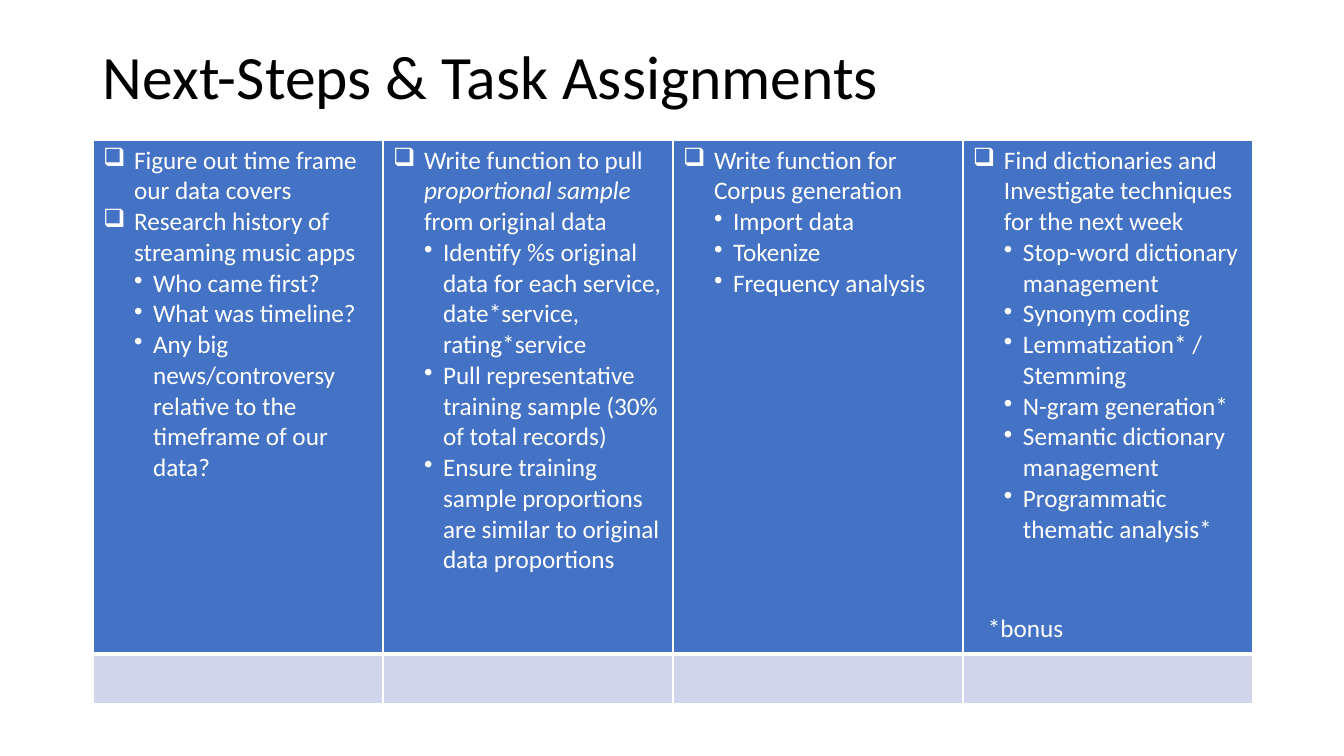
from dataclasses import dataclass

from lxml.etree import SubElement
from pptx import Presentation
from pptx.dml.color import RGBColor
from pptx.enum.text import MSO_ANCHOR
from pptx.oxml import parse_xml
from pptx.oxml.ns import nsdecls, qn
from pptx.util import Emu, Pt

SLIDE_WIDTH, SLIDE_HEIGHT = 1344, 756
EMU_PER_PIXEL = 12192000 / SLIDE_WIDTH
FONT = "Calibri"
BLACK, WHITE, BLUE, PALE_BLUE = "000000", "FFFFFF", "4472C4", "CFD5EA"
COLUMN_WIDTH = 290
ROW_HEIGHTS = [514, 50]


@dataclass(frozen=True)
class Level:
    bullet: str
    margin: int
    hanging: int


@dataclass(frozen=True)
class Task:
    text: str  # words between underscores are italic
    steps: tuple[str, ...] = ()


@dataclass(frozen=True)
class Label:
    text: str
    left: int
    top: int
    width: int
    height: int
    size: int
    color: str
    anchor: MSO_ANCHOR
    line_spacing: float


TASK_LEVEL = Level("❑", 31, 31)
STEP_LEVEL = Level("•", 50, 19)

ASSIGNMENTS = [
    [
        Task("Figure out time frame our data covers"),
        Task("Research history of streaming music apps ", (
            "Who came first?",
            "What was timeline?",
            "Any big news/controversy relative to the timeframe of our data?",
        )),
    ],
    [
        Task("Write function to pull _proportional sample_ from original data", (
            "Identify %s original data for each service, date*service, rating*service",
            "Pull representative training sample (30% of total records)",
            "Ensure training sample proportions are similar to original data proportions",
        )),
    ],
    [
        Task("Write function for Corpus generation", (
            "Import data", "Tokenize", "Frequency analysis",
        )),
    ],
    [
        Task("Find dictionaries and Investigate techniques for the next week", (
            "Stop-word dictionary management",
            "Synonym coding",
            "Lemmatization* / Stemming",
            "N-gram generation*",
            "Semantic dictionary management",
            "Programmatic thematic analysis*",
        )),
    ],
]

TITLE = Label("Next-Steps & Task Assignments", 93, 40, 1159, 79, 44, BLACK,
              MSO_ANCHOR.MIDDLE, 0.9)
BONUS_NOTE = Label("*bonus", 978, 607, 257, 40, 18, WHITE, MSO_ANCHOR.TOP, 1.0)


def px(pixels: int) -> Emu:
    return Emu(round(pixels * EMU_PER_PIXEL))


def rgb(color: str) -> RGBColor:
    return RGBColor.from_string(color)


def style_font(font, size: int, color: str) -> None:
    font.name = FONT
    font.size = Pt(size)
    font.color.rgb = rgb(color)


def draw_label(slide, label: Label) -> None:
    box = slide.shapes.add_textbox(
        px(label.left), px(label.top), px(label.width), px(label.height))
    frame = box.text_frame
    frame.word_wrap = True
    frame.vertical_anchor = label.anchor
    frame.text = label.text
    paragraph = frame.paragraphs[0]
    paragraph.line_spacing = label.line_spacing
    style_font(paragraph.runs[0].font, label.size, label.color)


def write_bullet(paragraph, text: str, level: Level) -> None:
    for position, part in enumerate(text.split("_")):
        run = paragraph.add_run()
        run.text = part
        style_font(run.font, 18, WHITE)
        run.font.italic = position % 2 == 1
    properties = paragraph._p.get_or_add_pPr()
    properties.set("marL", str(px(level.margin)))
    properties.set("indent", str(-px(level.hanging)))
    SubElement(properties, qn("a:buChar")).set("char", level.bullet)


def style_cell(cell, fill: str, top: int, bottom: int) -> None:
    cell.fill.solid()
    cell.fill.fore_color.rgb = rgb(fill)
    properties = cell._tc.get_or_add_tcPr()
    borders = {"lnL": 1, "lnR": 1, "lnT": top, "lnB": bottom}
    for position, (side, points) in enumerate(borders.items()):
        properties.insert(position, parse_xml(
            f'<a:{side} {nsdecls("a")} w="{Pt(points)}"><a:solidFill>'
            f'<a:srgbClr val="{WHITE}"/></a:solidFill></a:{side}>'))


def fill_assignment(cell, tasks: list[Task]) -> None:
    bullets = []
    for task in tasks:
        bullets.append((task.text, TASK_LEVEL))
        bullets.extend((step, STEP_LEVEL) for step in task.steps)
    frame = cell.text_frame
    for position, (text, level) in enumerate(bullets):
        paragraph = frame.add_paragraph() if position else frame.paragraphs[0]
        paragraph.level = int(level is STEP_LEVEL)
        write_bullet(paragraph, text, level)


def draw_assignments(slide) -> None:
    count = len(ASSIGNMENTS)
    table = slide.shapes.add_table(
        len(ROW_HEIGHTS), count, px(93), px(140),
        px(COLUMN_WIDTH * count), px(sum(ROW_HEIGHTS))).table
    table.first_row = False
    table.horz_banding = False
    for row, height in zip(table.rows, ROW_HEIGHTS):
        row.height = px(height)
    for index, tasks in enumerate(ASSIGNMENTS):
        table.columns[index].width = px(COLUMN_WIDTH)
        style_cell(table.cell(0, index), BLUE, top=1, bottom=3)
        style_cell(table.cell(1, index), PALE_BLUE, top=3, bottom=1)
        fill_assignment(table.cell(0, index), tasks)


presentation = Presentation()
presentation.slide_width = px(SLIDE_WIDTH)
presentation.slide_height = px(SLIDE_HEIGHT)
slide = presentation.slides.add_slide(presentation.slide_layouts[6])

# Title
draw_label(slide, TITLE)

# Task columns with an empty row below
draw_assignments(slide)

# Footnote on the last column
draw_label(slide, BONUS_NOTE)

presentation.save("out.pptx")
